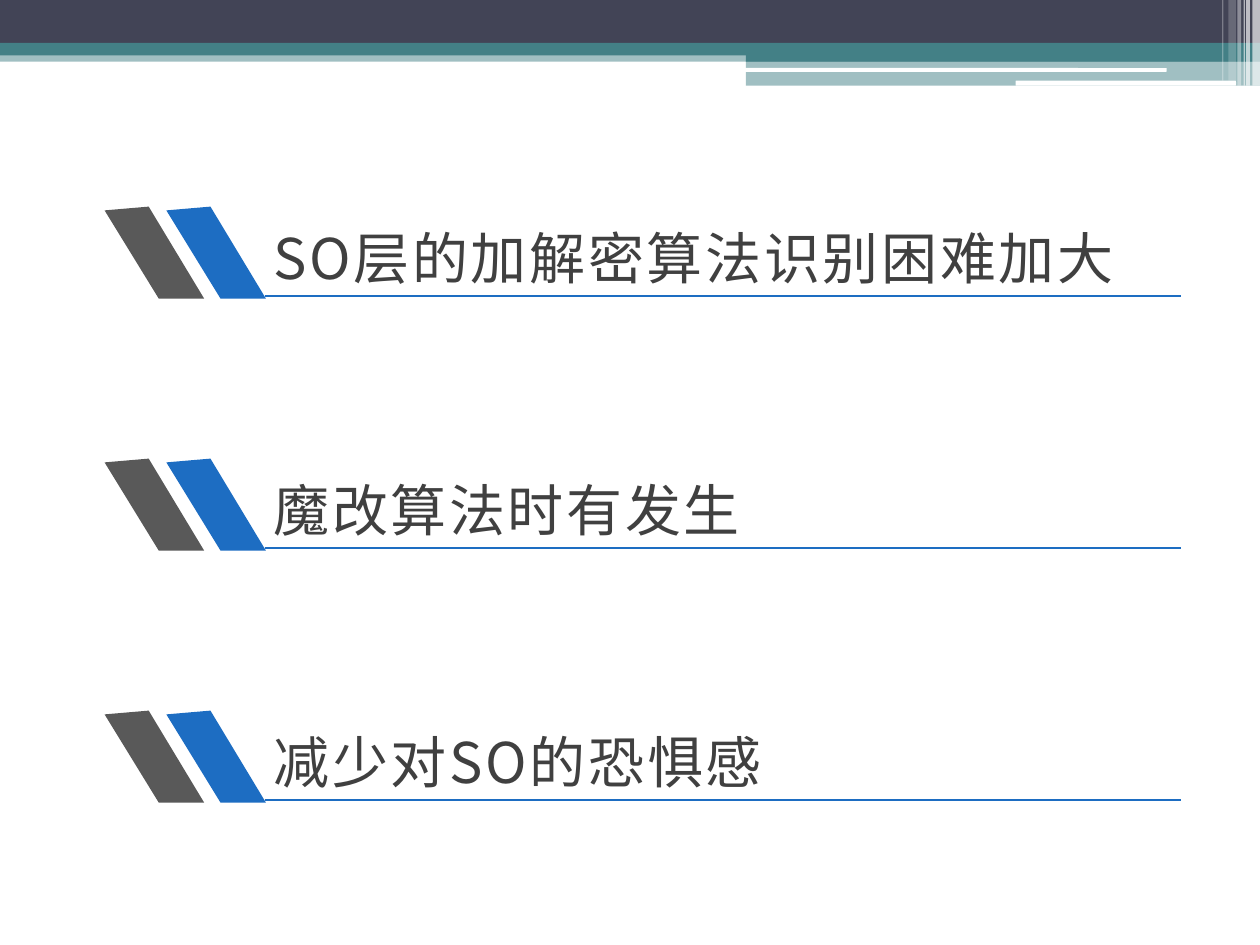
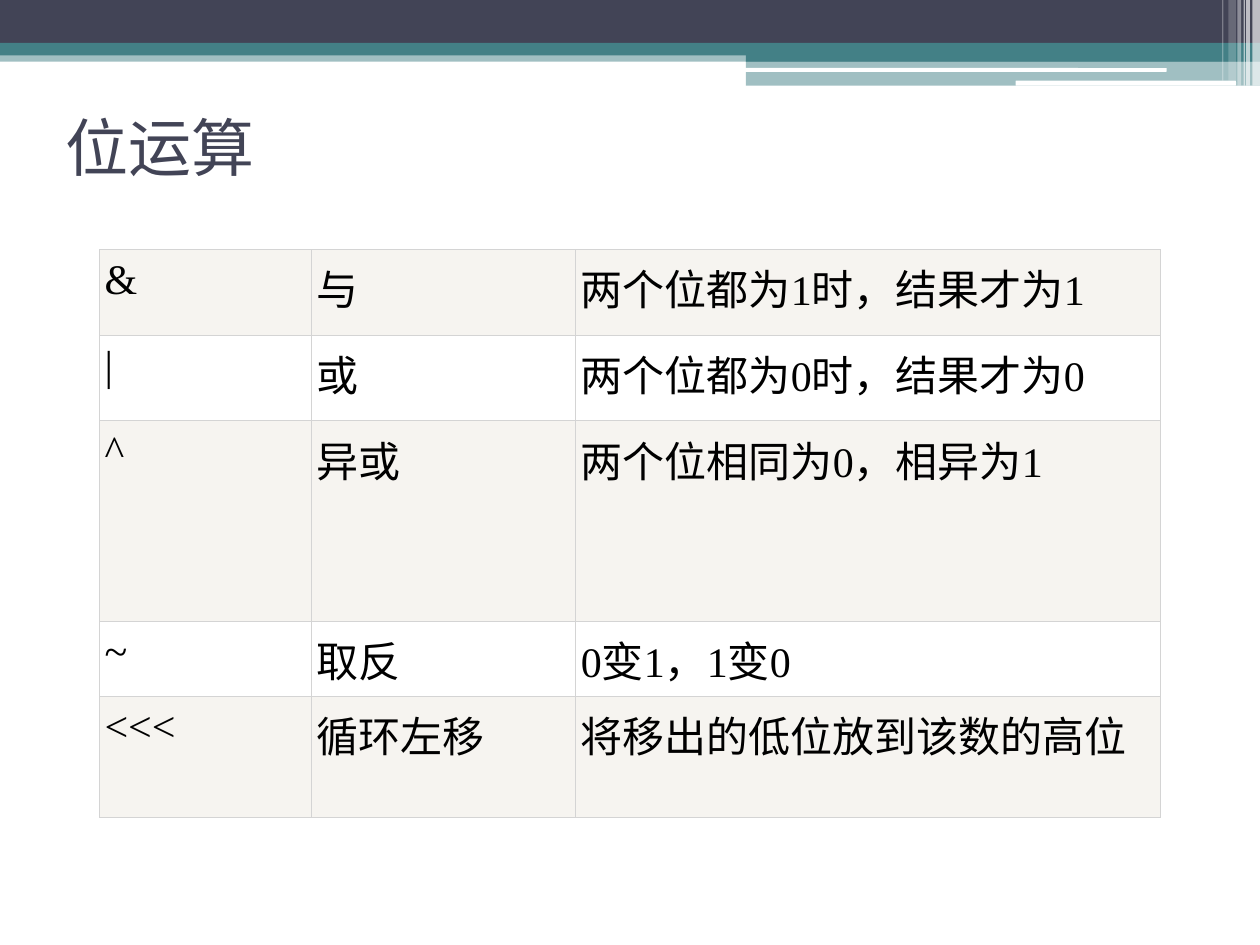
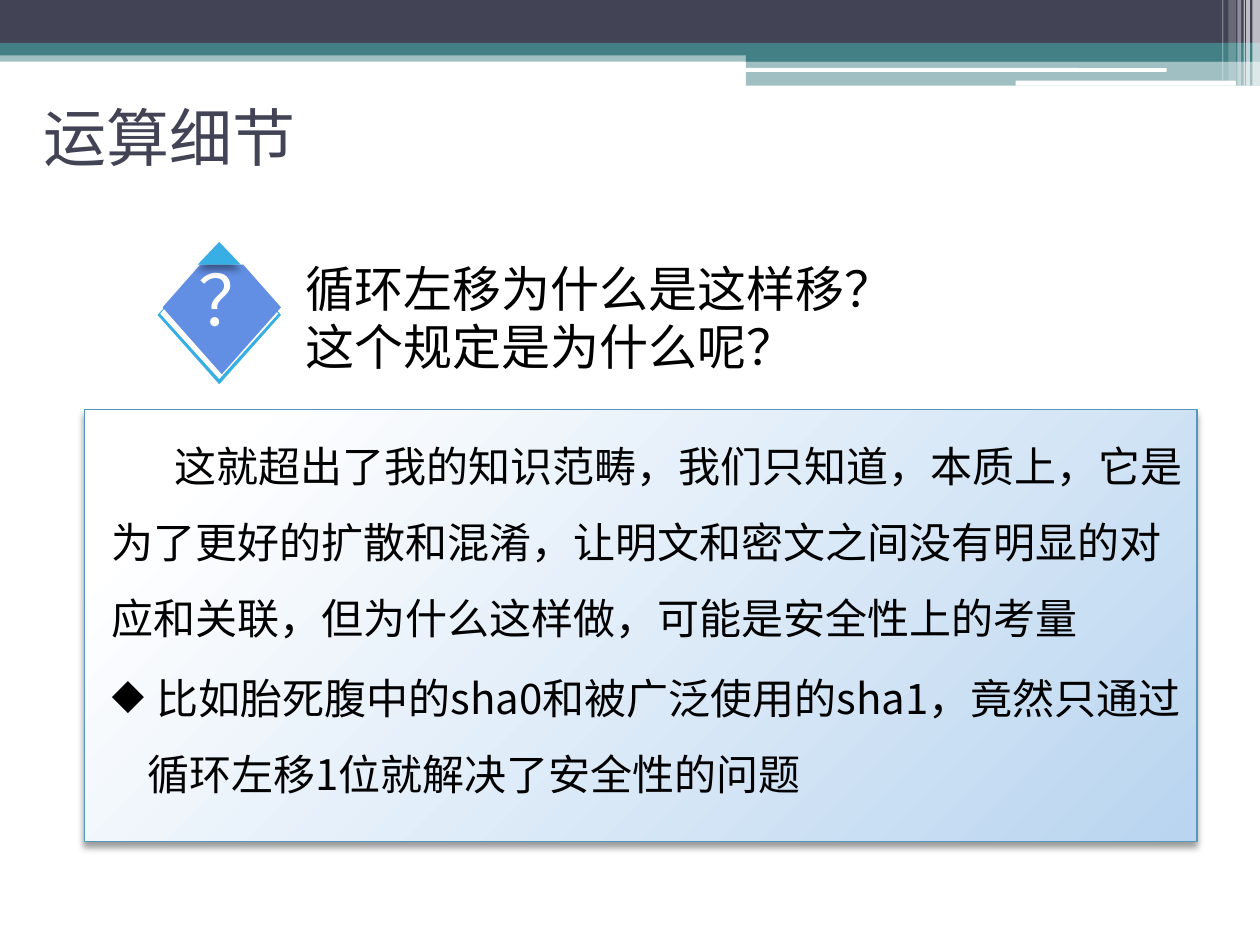
from pptx import Presentation, util as u
from pptx.dml.color import RGBColor
from pptx.enum import shapes, text
from pptx.oxml.ns import qn
from lxml import etree

W, H = 10, 7.5
SANS, SERIF = "Noto Sans CJK SC", "Times New Roman"
INK, TEAL, WHITE, BLACK = "424456", "438086", "FFFFFF", "000000"
GREY, BLUE, SKY, PERIWINKLE = "595959", "1D6DC2", "37AFE5", "628EE3"

BANDS = [
    (0, 0.4, W, 0.09, TEAL, 50),
    (0, 0, W, 0.34, INK, 100),
    (0, 0.34, W, 0.1, TEAL, 100),
    (5.92, 0.39, 4.08, 0.1, TEAL, 100),
    (5.92, 0.48, 4.08, 0.2, TEAL, 50),
]
PILLS = [(5.91, 0.54, 3.35, 0.03), (8.06, 0.64, 1.75, 0.04)]
STRIPES = [
    (9.94, 0.06, 0.68, 65), (9.89, 0.03, 0.68, 65), (9.87, 0.01, 0.68, 60),
    (9.82, 0.03, 0.68, 40), (9.75, 0.06, 0.64, 20), (9.7, 0.01, 0.64, 30),
]

POINTS = ["SO层的加解密算法识别困难加大", "魔改算法时有发生", "减少对SO的恐惧感"]
SLASH = [(1.18, 1.64), (1.62, 2.37), (1.26, 2.37), (0.83, 1.67)]
SLASHES = [(0, GREY), (0.49, BLUE)]
POINT_STEP = 2

OPERATORS = [
    ("&", "与", "两个位都为1时，结果才为1"),
    ("|", "或", "两个位都为0时，结果才为0"),
    ("^", "异或", "两个位相同为0，相异为1"),
    ("~", "取反", "0变1，1变0"),
    ("<<<", "循环左移", "将移出的低位放到该数的高位"),
]
COLS, ROWS = [1.68, 2.1, 4.64], [0.68, 0.68, 1.59, 0.6, 0.96]

QUESTION = "循环左移为什么是这样移？这个规定是为什么呢？"
ANSWERS = [
    ("这就超出了我的知识范畴，我们只知道，本质上，它是为了更好的扩散和混淆，"
     "让明文和密文之间没有明显的对应和关联，但为什么这样做，可能是安全性上的考量",
     dict(indent=(0.12, 0.5))),
    (" 比如胎死腹中的sha0和被广泛使用的sha1，竟然只通过循环左移1位就解决了安全性的问题",
     dict(indent=(0.4, -0.28), bullet="◆")),
]
RING = [(1.57, 2.15), (1.25, 2.5), (1.74, 3.05), (2.23, 2.5),
        (1.92, 2.15), (2.21, 2.49), (1.74, 3.01), (1.27, 2.49)]
GEM = [(1.59, 2.1), (1.93, 2.1), (2.23, 2.44), (1.76, 2.97), (1.29, 2.44)]
TIP = [(1.74, 1.92), (1.91, 2.1), (1.57, 2.1)]


def rgb(hex_):
    """Turn a hex string into a colour."""
    return RGBColor.from_string(hex_)


def inches(*values):
    """Turn numbers into lengths."""
    return [u.Inches(v) for v in values]


def sub(parent, tag, **attrs):
    """Append a drawing element."""
    return etree.SubElement(parent, qn("a:" + tag), {k: str(v) for k, v in attrs.items()})


def paint(sp, color, alpha=100):
    """Give a shape a plain fill without line or shadow."""
    sp.shadow.inherit = False
    sp.fill.solid()
    sp.fill.fore_color.rgb = rgb(color)
    sp.line.fill.background()
    if alpha < 100:
        sub(sp._element.spPr.find(".//" + qn("a:srgbClr")), "alpha", val=alpha * 1000)
    return sp


def drop_shadow(sp):
    """Cast a soft shadow straight down."""
    sp.shadow.inherit = False
    shadow = sub(sp._element.spPr.find(qn("a:effectLst")), "outerShdw",
                 blurRad=u.Pt(4), dist=u.Pt(3), dir=90 * 60000, algn="ctr", rotWithShape=0)
    sub(sub(shadow, "srgbClr", val=BLACK), "alpha", val=40000)


def box(s, at, color, alpha=100, kind=shapes.MSO_SHAPE.RECTANGLE):
    """Add a plain preset shape."""
    return paint(s.shapes.add_shape(kind, *inches(*at)), color, alpha)


def outline(parent, pts, color):
    """Add a filled polygon."""
    pts = [tuple(inches(x, y)) for x, y in pts]
    fb = parent.build_freeform(*pts[0], scale=1.0)
    fb.add_line_segments(pts[1:], close=True)
    return paint(fb.convert_to_shape(), color)


def write(tf, words, size=24, color=BLACK, font=SANS, align=text.PP_ALIGN.LEFT,
          anchor=text.MSO_ANCHOR.TOP, insets=(0.1, 0.05, 0.1, 0.05), line=None,
          before=None, track=None, indent=None, bullet=None, more=False):
    """Write one formatted paragraph into a text frame."""
    tf.word_wrap = True
    tf.vertical_anchor = anchor
    tf.margin_left, tf.margin_top, tf.margin_right, tf.margin_bottom = inches(*insets)
    p = tf.add_paragraph() if more else tf.paragraphs[0]
    p.alignment = align
    if line:
        p.line_spacing = line
    if before:
        p.space_before = u.Pt(before)
    pPr = p._p.get_or_add_pPr()
    if indent:
        left, first = inches(*indent)
        pPr.set("marL", str(left))
        pPr.set("indent", str(first))
    if bullet:
        sub(sub(pPr, "buClr"), "srgbClr", val=color)
        sub(pPr, "buChar", char=bullet)
    r = p.add_run()
    r.text = words
    r.font.size, r.font.name, r.font.color.rgb = u.Pt(size), font, rgb(color)
    rPr = r._r.get_or_add_rPr()
    sub(rPr, "ea", typeface=SANS)
    if track:
        rPr.set("spc", str(int(track * 100)))


def label(s, at, words, **fmt):
    """Add a text box."""
    write(s.shapes.add_textbox(*inches(*at)).text_frame, words, **fmt)


def new_slide(prs, title=None, at=(0, 0)):
    """Add a slide with the shared header and an optional title."""
    s = prs.slides.add_slide(prs.slide_layouts[6])
    for *place, color, alpha in BANDS:
        box(s, place, color, alpha)
    for place in PILLS:
        box(s, place, WHITE, kind=shapes.MSO_SHAPE.ROUNDED_RECTANGLE)
    for x, w, h, alpha in STRIPES:
        box(s, (x, 0, w, h), WHITE, alpha)
    if title:
        label(s, (*at, 9, 1.17), title, size=36, color=INK, anchor=text.MSO_ANCHOR.MIDDLE)
    return s


def points_slide(prs):
    """Three underlined statements with slanted markers."""
    s = new_slide(prs)
    for i, words in enumerate(POINTS):
        dy = i * POINT_STEP
        for dx, color in SLASHES:
            outline(s.shapes, [(x + dx, y + dy) for x, y in SLASH], color)
        rule = s.shapes.add_connector(shapes.MSO_CONNECTOR.STRAIGHT,
                                      *inches(2.1, 2.35 + dy, 9.37, 2.35 + dy))
        rule.line.color.rgb, rule.line.width = rgb(BLUE), u.Pt(1.5)
        sub(rule._element.spPr, "effectLst")
        label(s, (2.1, 1.3 + dy, 7.27, 1.05), words, size=32, color="404040", line=1.2,
              track=1.5, anchor=text.MSO_ANCHOR.BOTTOM, insets=(0.07, 0.04, 0.07, 0.04))


def border(cell, color="D4D4D4", width=0.6):
    """Draw the four edges of a cell, ahead of its fill."""
    tcPr = cell._tc.get_or_add_tcPr()
    for i, side in enumerate(("lnL", "lnR", "lnT", "lnB")):
        ln = sub(tcPr, side, w=u.Pt(width))
        sub(sub(ln, "solidFill"), "srgbClr", val=color)
        tcPr.insert(i, ln)


def operators_slide(prs):
    """Table of bitwise operators."""
    s = new_slide(prs, "位运算", (0.42, 0.58))
    tbl = s.shapes.add_table(len(ROWS), len(COLS),
                             *inches(0.79, 1.98, sum(COLS), sum(ROWS))).table
    tbl.first_row = tbl.horz_banding = False
    for col, w in zip(tbl.columns, COLS):
        col.width = u.Inches(w)
    for i, (row, h) in enumerate(zip(tbl.rows, ROWS)):
        row.height = u.Inches(h)
        for cell, words in zip(row.cells, OPERATORS[i]):
            write(cell.text_frame, words, font=SERIF)
            cell.margin_left, cell.margin_right = inches(0.04, 0.04)
            cell.margin_top, cell.margin_bottom = inches(0.06, 0.06)
            cell.fill.solid()
            cell.fill.fore_color.rgb = rgb(WHITE if i % 2 else "F6F4F0")
            border(cell)


def details_slide(prs):
    """A question with its answer in a shaded panel."""
    s = new_slide(prs, "运算细节", (0.25, 0.5))
    panel = box(s, (0.67, 3.25, 8.83, 3.43), WHITE)
    panel.fill.gradient()
    panel.fill.gradient_angle = 315
    start, end = panel.fill.gradient_stops
    start.color.rgb, end.color.rgb = rgb(WHITE), rgb("B9D5F0")
    start.position, end.position = 0.1, 1
    panel.line.color.rgb, panel.line.width = rgb("5596BE"), u.Pt(0.75)
    drop_shadow(panel)
    for i, (words, fmt) in enumerate(ANSWERS):
        write(panel.text_frame, words, line=1.5, before=3, more=i > 0, **fmt)
    label(s, (2.33, 2, 5.15, 1.04), QUESTION, size=28)
    badge = s.shapes.add_group_shape().shapes
    outline(badge, RING, SKY)
    gem = outline(badge, GEM, PERIWINKLE)
    write(gem.text_frame, "？", size=40, color=WHITE, align=text.PP_ALIGN.RIGHT,
          anchor=text.MSO_ANCHOR.MIDDLE, insets=(0.1, 0.05, 0.1, 0.38))
    drop_shadow(outline(badge, TIP, SKY))


def main():
    """Build and save the slides."""
    prs = Presentation()
    prs.slide_width, prs.slide_height = inches(W, H)
    points_slide(prs)
    operators_slide(prs)
    details_slide(prs)
    prs.save("out.pptx")


if __name__ == "__main__":
    main()
